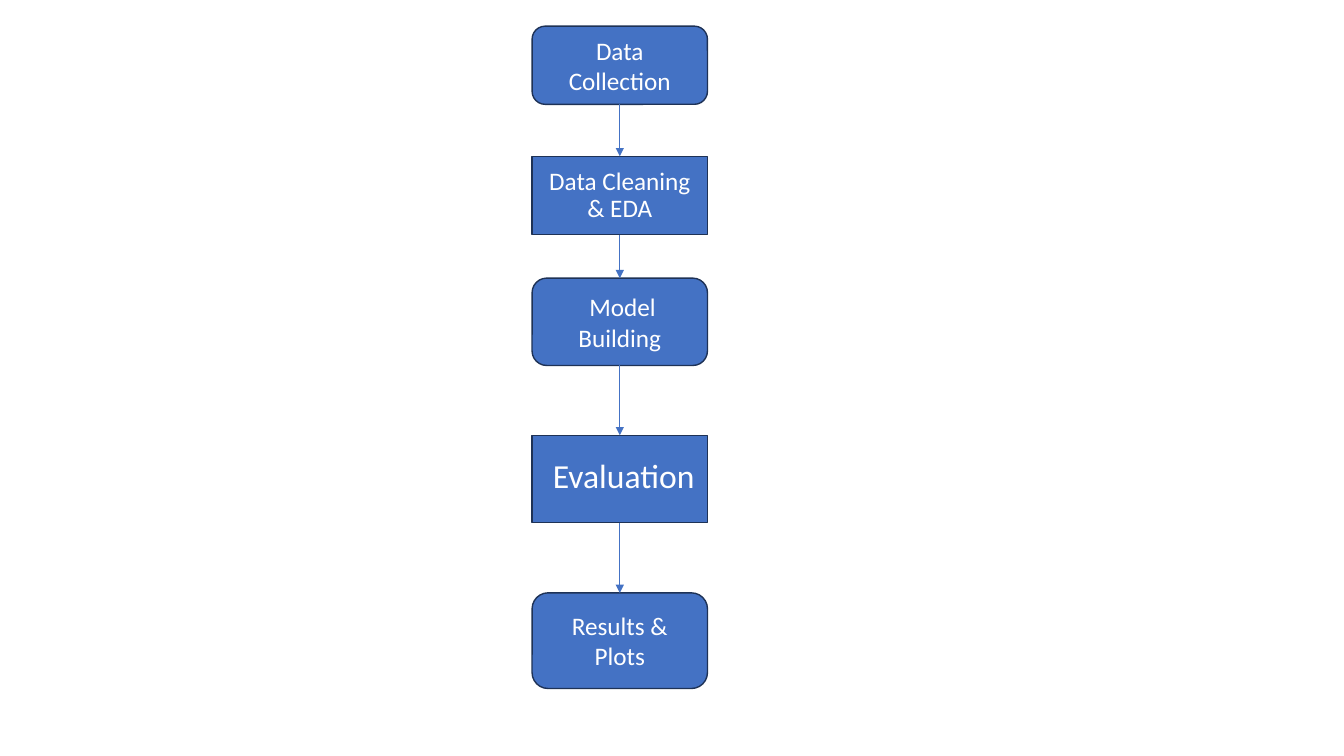
import pptx
import pptx.util
import pptx.dml.color
import pptx.enum.shapes
import pptx.enum.text
import pptx.oxml.ns
from lxml import etree

Cm, Pt = pptx.util.Cm, pptx.util.Pt
qn = pptx.oxml.ns.qn

STEPS = [
    {"text": "Data Collection", "top": 0.66, "height": 1.97},
    {"text": "Data Cleaning & EDA", "top": 3.94, "height": 1.97, "placeholder": 0,
     "para": {"line_spacing": 0.9}},
    {"text": " Model Building", "top": 7.01, "height": 2.2},
    {"text": " Evaluation", "top": 10.97, "height": 2.2, "placeholder": 1, "size": 24,
     "para": {"line_spacing": 0.8, "space_before": Pt(10)}},
    {"text": "Results & Plots", "top": 14.94, "height": 2.41},
]
LEFT, WIDTH = 13.41, 4.42
BLUE, NAVY, WHITE = "4472C4", "1E3256", "FFFFFF"
FRAME = {
    "word_wrap": True,
    "auto_size": pptx.enum.text.MSO_AUTO_SIZE.NONE,
    "vertical_anchor": pptx.enum.text.MSO_ANCHOR.MIDDLE,
}


def apply(target, values):
    for name, value in values.items():
        setattr(target, name, value)


def paint(color_format, color):
    color_format.rgb = pptx.dml.color.RGBColor.from_string(color)


def add_step(s, step):
    box = {"left": Cm(LEFT), "top": Cm(step["top"]),
           "width": Cm(WIDTH), "height": Cm(step["height"])}
    if "placeholder" in step:
        sp = s.placeholders[step["placeholder"]]
        apply(sp, box)
        geom = etree.SubElement(sp.element.spPr, qn("a:prstGeom"), prst="roundRect")
        etree.SubElement(geom, qn("a:avLst"))
    else:
        sp = s.shapes.add_shape(
            pptx.enum.shapes.MSO_SHAPE.ROUNDED_RECTANGLE, *box.values())
        sp.shadow.inherit = False
    sp.fill.solid()
    paint(sp.fill.fore_color, BLUE)
    paint(sp.line.color, NAVY)
    sp.line.width = Pt(1)

    tf = sp.text_frame
    apply(tf, FRAME)
    p = tf.paragraphs[0]
    apply(p, {"alignment": pptx.enum.text.PP_ALIGN.CENTER, **step.get("para", {})})
    r = p.add_run()
    r.text = step["text"]
    apply(r.font, {"name": "Calibri", "size": Pt(step.get("size", 18)), "bold": False})
    paint(r.font.color, WHITE)
    return sp


def add_arrow(s, upper, lower):
    x = upper.left + upper.width // 2
    cx = s.shapes.add_connector(
        pptx.enum.shapes.MSO_CONNECTOR.STRAIGHT,
        x, upper.top + upper.height, x, lower.top)
    cx.begin_connect(upper, 2)
    cx.end_connect(lower, 0)
    paint(cx.line.color, BLUE)
    cx.line.width = Pt(0.5)
    spPr = cx.element.spPr
    etree.SubElement(spPr.find(qn("a:ln")), qn("a:tailEnd"), type="triangle")
    etree.SubElement(spPr, qn("a:effectLst"))


def main():
    prs = pptx.Presentation()
    apply(prs, {"slide_width": Cm(33.87), "slide_height": Cm(19.05)})
    s = prs.slides.add_slide(prs.slide_layouts[0])
    boxes = [add_step(s, step) for step in STEPS]
    for upper, lower in zip(boxes, boxes[1:]):
        add_arrow(s, upper, lower)
    prs.save("out.pptx")


if __name__ == "__main__":
    main()
